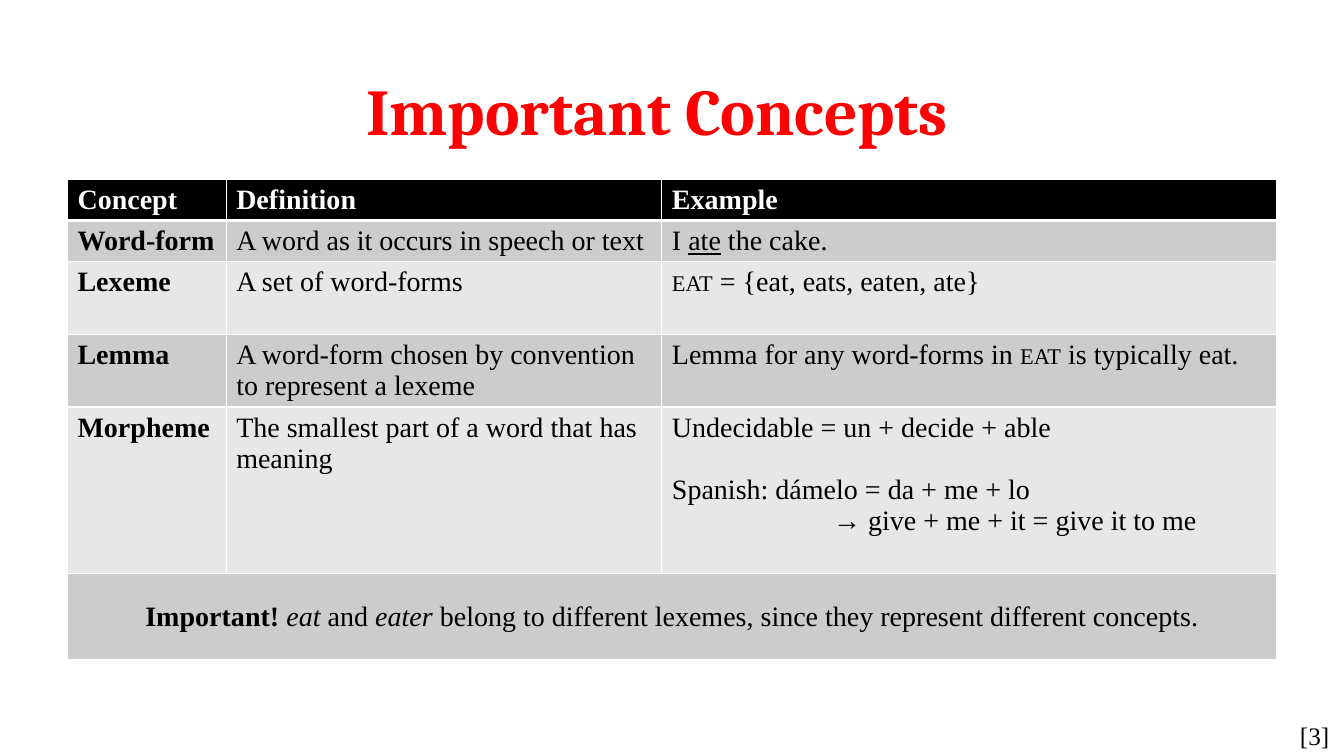
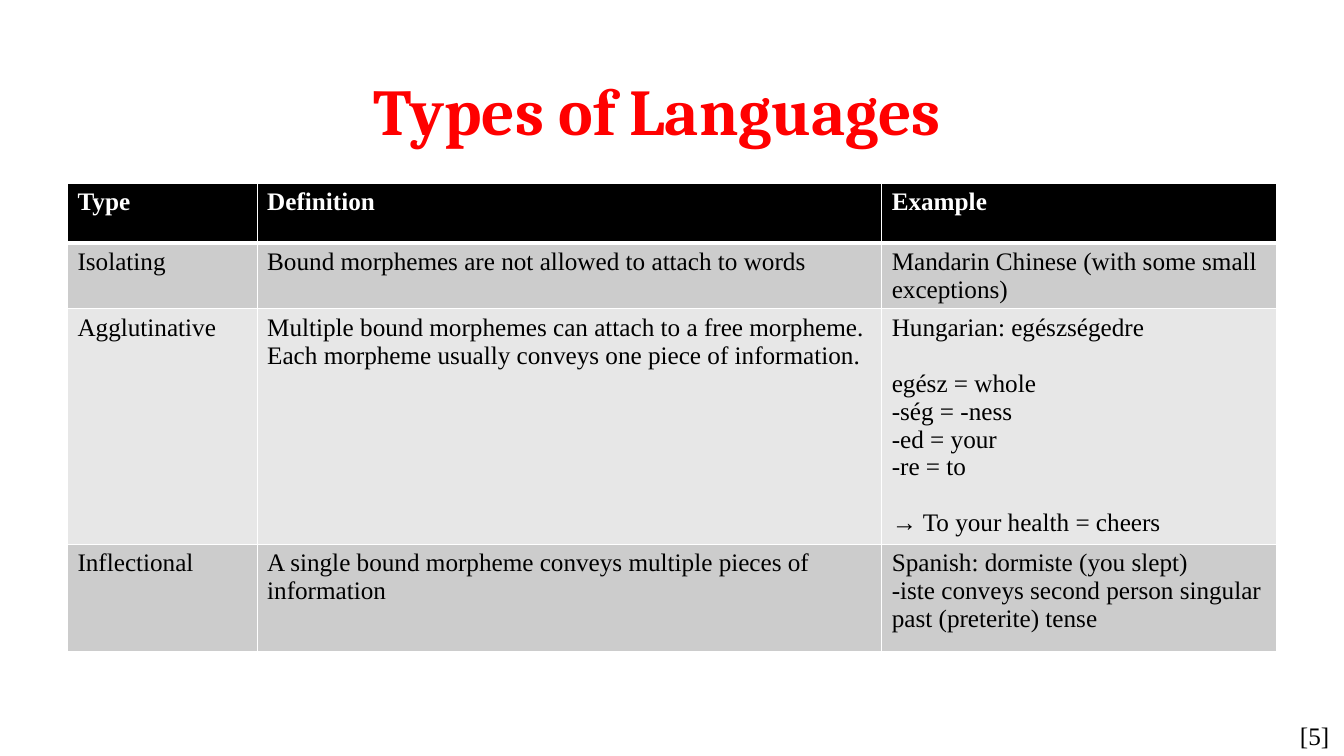
from lxml import etree
from pptx import Presentation
from pptx.dml.color import RGBColor
from pptx.enum import text
from pptx.oxml import ns
from pptx.util import Cm, Pt

BLACK, WHITE, RED = "000000", "FFFFFF", "FF0000"
BANDS = ["E7E7E7", "CCCCCC"]
BODY_FONT = "Times New Roman"


def color(value):
    return RGBColor.from_string(value)


def add_border(cell, side, width):
    line = etree.SubElement(cell._tc.get_or_add_tcPr(), ns.qn(f"a:ln{side}"), w=str(Pt(width)))
    fill = etree.SubElement(line, ns.qn("a:solidFill"))
    etree.SubElement(fill, ns.qn("a:srgbClr"), val=WHITE)


concepts = {
    "title": "Important Concepts",
    "number": "[3]",
    "top": 4.52,
    "size": 20,
    "bold_names": True,
    "columns": [4, 10.98, 15.5],
    "heights": [1.03, 1.03, 1.83, 1.83, 4.19, 2.18],
    "rows": [
        ["Concept", "Definition", "Example"],
        ["Word-form", "A word as it occurs in speech or text",
         [("I ", ""), ("ate", "underline"), (" the cake.", "")]],
        ["Lexeme", "A set of word-forms",
         [("eat", "small caps"), (" = {eat, eats, eaten, ate}", "")]],
        ["Lemma", "A word-form chosen by convention to represent a lexeme",
         [("Lemma for any word-forms in ", ""), ("eat", "small caps"), (" is typically eat.", "")]],
        ["Morpheme", "The smallest part of a word that has meaning",
         "Undecidable = un + decide + able\n\nSpanish: dámelo = da + me + lo\n"
         "→ give + me + it = give it to me"],
        [[("Important! ", "bold"), ("eat ", "italic"), ("and ", ""), ("eater", "italic"),
          (" belong to different lexemes, since they represent different concepts.", "")]],
    ],
}
languages = {
    "title": "Types of Languages",
    "number": "[5]",
    "top": 4.62,
    "size": 18,
    "bold_names": False,
    "columns": [4.78, 15.74, 9.96],
    "heights": [1.5, 1.65, 5.93, 2.7],
    "rows": [
        ["Type", "Definition", "Example"],
        ["Isolating", "Bound morphemes are not allowed to attach to words",
         "Mandarin Chinese (with some small exceptions)"],
        ["Agglutinative",
         "Multiple bound morphemes can attach to a free morpheme.\n"
         "Each morpheme usually conveys one piece of information.",
         "Hungarian: egészségedre\n\negész = whole\n-ség = -ness\n-ed = your\n-re = to\n\n"
         "→ To your health = cheers"],
        ["Inflectional", "A single bound morpheme conveys multiple pieces of information",
         "Spanish: dormiste (you slept)\n"
         "-iste conveys second person singular past (preterite) tense"],
    ],
}

presentation = Presentation()
presentation.slide_width = Cm(33.87)
presentation.slide_height = Cm(19.05)

for content in [concepts, languages]:
    slide = presentation.slides.add_slide(presentation.slide_layouts[5])
    title = slide.shapes.title
    title.left, title.top, title.width, title.height = Cm(0.94), Cm(1.45), Cm(31.24), Cm(2.59)
    title.text_frame.text = content["title"]
    title.text_frame.vertical_anchor = text.MSO_ANCHOR.MIDDLE
    paragraph = title.text_frame.paragraphs[0]
    paragraph.alignment = text.PP_ALIGN.CENTER
    paragraph.font.name = "Cambria"
    paragraph.font.size = Pt(46.7)
    paragraph.font.bold = True
    paragraph.font.color.rgb = color(RED)

    columns, heights, rows = content["columns"], content["heights"], content["rows"]
    table = slide.shapes.add_table(
        len(rows), len(columns), Cm(1.7), Cm(content["top"]), Cm(sum(columns)), Cm(sum(heights))
    ).table
    for column, width in zip(table.columns, columns):
        column.width = Cm(width)
    for row, height in zip(table.rows, heights):
        row.height = Cm(height)

    for row_index, values in enumerate(rows):
        header = row_index == 0
        for cell in table.rows[row_index].cells:
            for side in "LRTB":
                thick = (header and side == "B") or (row_index == 1 and side == "T")
                add_border(cell, side, 3 if thick else 1)
            cell.fill.solid()
            cell.fill.fore_color.rgb = color(BLACK if header else BANDS[row_index % 2])

        spanning = len(values) == 1
        if spanning:
            table.cell(row_index, 0).merge(table.cell(row_index, len(columns) - 1))
            table.cell(row_index, 0).vertical_anchor = text.MSO_ANCHOR.MIDDLE

        for column_index, value in enumerate(values):
            frame = table.cell(row_index, column_index).text_frame
            bold_name = content["bold_names"] and column_index == 0 and not spanning
            blocks = value.split("\n\n") if isinstance(value, str) else [value]
            paragraph = None
            for block in blocks:
                lines = block.split("\n") if isinstance(block, str) else [block]
                for line_index, line in enumerate(lines):
                    first = paragraph is None
                    paragraph = frame.paragraphs[0] if first else frame.add_paragraph()
                    if line_index == 0 and not first:
                        paragraph.space_before = Pt(content["size"] * 1.11)
                    if spanning:
                        paragraph.alignment = text.PP_ALIGN.CENTER
                    paragraph.font.name = BODY_FONT
                    paragraph.font.size = Pt(content["size"])
                    paragraph.font.bold = header or bold_name
                    paragraph.font.color.rgb = color(WHITE if header else BLACK)
                    for words, style in [(line, "")] if isinstance(line, str) else line:
                        run = paragraph.add_run()
                        run.text = words
                        if style == "small caps":
                            run.font._element.set("cap", "small")
                        elif style:
                            setattr(run.font, style, True)

    if content is concepts:
        gloss = table.cell(4, 2).text_frame.paragraphs[-1]
        gloss._p.get_or_add_pPr().set("marL", str(Cm(4.06)))

    number = slide.shapes.add_textbox(Cm(32.51), Cm(18.03), Cm(1.36), Cm(1.02))
    number.text_frame.word_wrap = True
    number.text_frame.text = content["number"]
    paragraph = number.text_frame.paragraphs[0]
    paragraph.font.name = BODY_FONT
    paragraph.font.size = Pt(18)
    paragraph.font.color.rgb = color(BLACK)

presentation.save("out.pptx")
